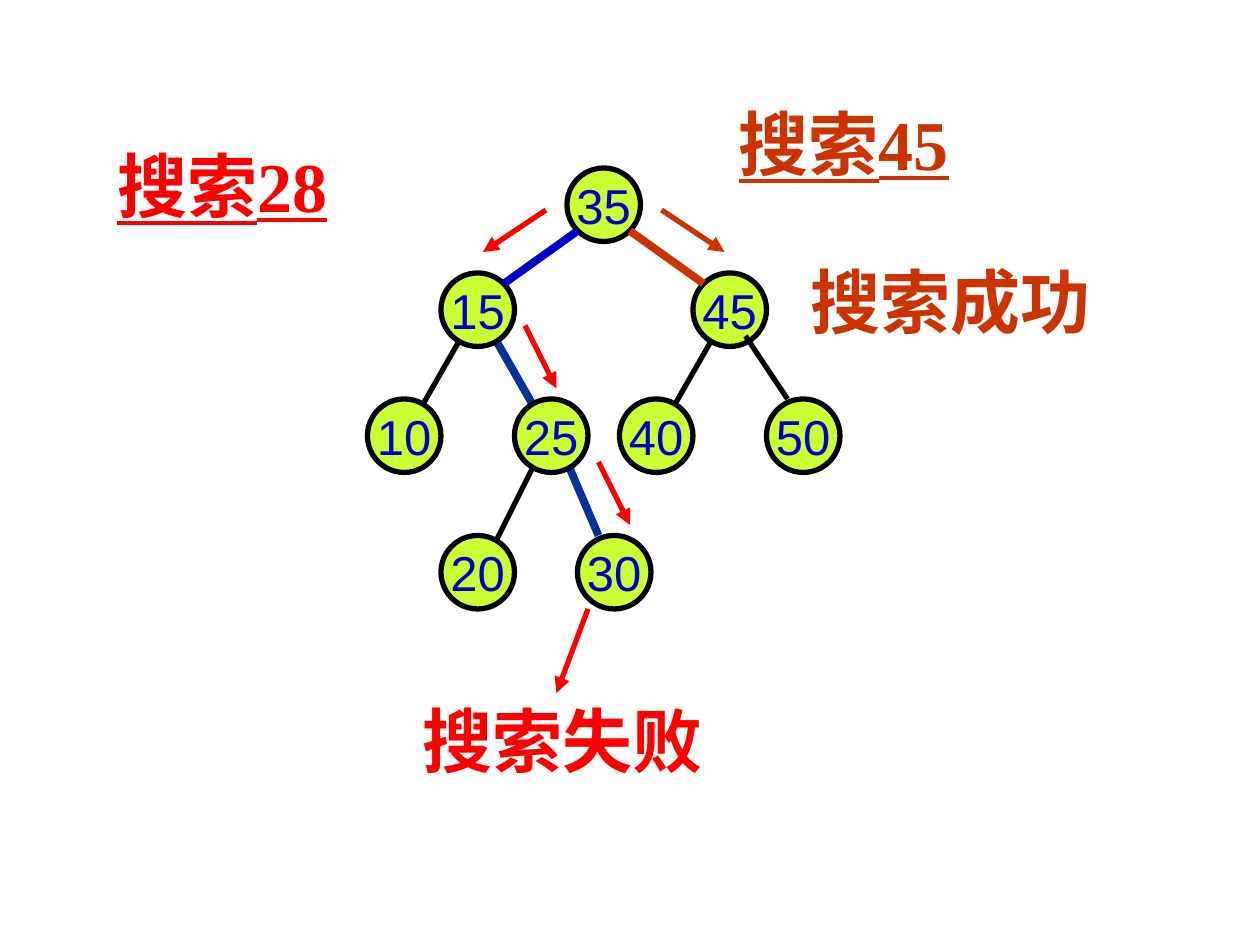
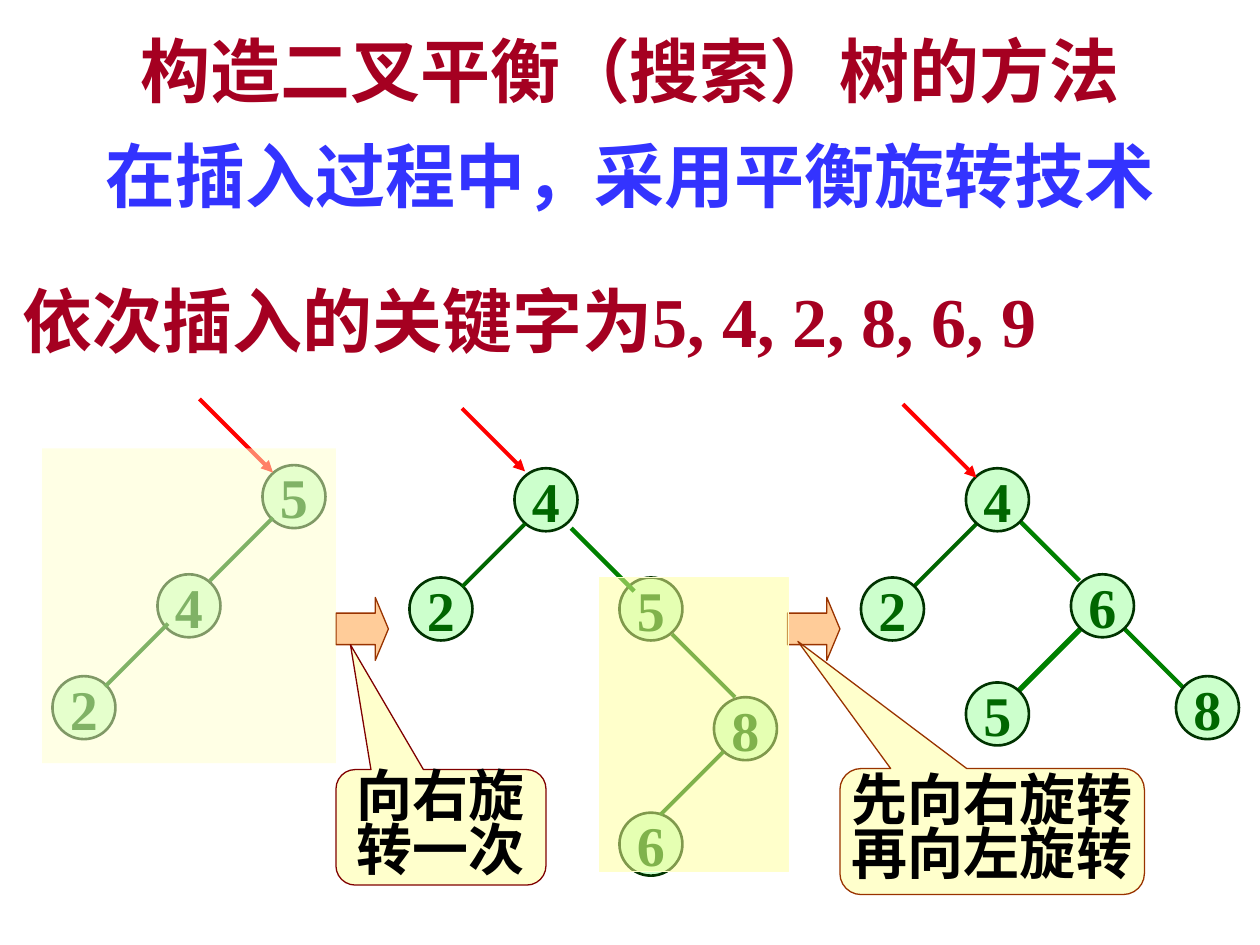
from lxml.etree import SubElement
from pptx import Presentation
from pptx.dml.color import RGBColor as RGB
from pptx.enum.shapes import MSO_CONNECTOR as Link, MSO_SHAPE as Shape
from pptx.enum.text import MSO_ANCHOR as Anchor, MSO_AUTO_SIZE as AutoSize, PP_ALIGN as Align
from pptx.oxml.ns import qn
from pptx.util import Inches, Pt

WIDTH, HEIGHT = Inches(10), Inches(7.5)
COLUMN, ROW = WIDTH / 120, HEIGHT / 90
TITLE_ONLY, BLANK = 5, 6

BLACK, RED = RGB(0, 0, 0), RGB(0xFF, 0, 0)
RUST, CRIMSON = RGB(0xCC, 0x33, 0), RGB(0xA5, 0, 0x21)
BLUE, NAVY, VIOLET = RGB(0, 0, 0xCC), RGB(0, 0x33, 0x99), RGB(0x33, 0x33, 0xFF)
LIME, MINT = RGB(0xCC, 0xFF, 0x33), RGB(0xCC, 0xFF, 0xCC)
PINE, FOREST, GREEN = RGB(0, 0x33, 0), RGB(0, 0x66, 0), RGB(0, 0x80, 0)
PEACH, BROWN, MAROON = RGB(0xFF, 0xCC, 0x99), RGB(0x99, 0x33, 0), RGB(0x80, 0, 0)
CREAM, YELLOW = RGB(0xFF, 0xFF, 0xCC), RGB(0xFF, 0xFF, 0x99)

SEARCH_NODE = dict(size=7, fill=LIME, outline=BLACK, weight=3,
                   style=dict(size=28, color=BLUE, name="Arial", bold=False))
BALANCE_NODE = dict(size=6, fill=MINT, outline=PINE, weight=1.5,
                    style=dict(size=32, color=FOREST))


def grid(left, top, width, height):
    """Turn columns and rows into lengths."""
    return tuple(round(n * unit) for n, unit in
                 ((left, COLUMN), (top, ROW), (width, COLUMN), (height, ROW)))


def style_paragraph(paragraph, size, color, name="Times New Roman", bold=True,
                    align=Align.CENTER, spacing=1.0, underline=False):
    """Format one paragraph."""
    paragraph.alignment, paragraph.line_spacing = align, spacing
    font = paragraph.font
    font.size, font.name, font.bold = Pt(size), name, bold
    font.color.rgb, font.underline = color, underline


def write(frame, lines, **style):
    """Fill a text frame with one paragraph per line."""
    frame.text = "\n".join(lines)
    for paragraph in frame.paragraphs:
        style_paragraph(paragraph, **style)


def add_label(slide, area, text, color, wrap=False, underline=False):
    """Add a large left-aligned caption."""
    frame = slide.shapes.add_textbox(*grid(*area)).text_frame
    frame.word_wrap = wrap
    write(frame, [text], size=40, color=color, align=Align.LEFT, underline=underline)


def add_figure(slide, kind, area, fill, outline=None, weight=0.75, adjustments=()):
    """Add a flat filled preset shape."""
    figure = slide.shapes.add_shape(kind, *grid(*area))
    figure.shadow.inherit = False
    figure.fill.solid()
    figure.fill.fore_color.rgb = fill
    if outline is None:
        figure.line.fill.background()
    else:
        figure.line.color.rgb, figure.line.width = outline, Pt(weight)
    for index, value in enumerate(adjustments):
        figure.adjustments[index] = value
    return figure


def write_inside(figure, lines, **style):
    """Centre unwrapped text in a figure."""
    frame = figure.text_frame
    frame.word_wrap, frame.vertical_anchor = False, Anchor.MIDDLE
    write(frame, lines, **style)


def add_nodes(slide, nodes, look):
    """Draw the keyed circles of a tree."""
    for key, left, top in nodes:
        circle = add_figure(slide, Shape.OVAL, (left, top, look["size"], look["size"]),
                            look["fill"], look["outline"], look["weight"])
        write_inside(circle, [str(key)], **look["style"])


def add_edge(slide, start, end, color, weight, arrow=False):
    """Draw a straight line, optionally with an arrowhead."""
    edge = slide.shapes.add_connector(Link.STRAIGHT, *grid(*start, *end))
    edge.line.color.rgb, edge.line.width = color, Pt(weight)
    if arrow:
        SubElement(edge.line._get_or_add_ln(), qn("a:tailEnd"), type="triangle")
    SubElement(edge._element.spPr, qn("a:effectLst"))


def add_branches(slide, branches, reach=6):
    """Draw diagonal branches that fall left (-1) or right (1)."""
    for left, top, side, color, weight in branches:
        add_edge(slide, (left, top), (left + side * reach, top + reach), color, weight)


def add_callout(slide, area, pointer, outline, lines):
    """Add a speech bubble that explains a rotation."""
    bubble = add_figure(slide, Shape.ROUNDED_RECTANGULAR_CALLOUT, area, CREAM, outline,
                        adjustments=(*pointer, 0.167))
    write_inside(bubble, lines, size=32, color=BLACK, spacing=0.8)


def add_highlight(slide, area, fill, outline=None):
    """Cover an unbalanced subtree with a half-transparent panel."""
    panel = add_figure(slide, Shape.RECTANGLE, area, fill, outline)
    tint = panel._element.spPr.find(qn("a:solidFill"))[0]
    SubElement(tint, qn("a:alpha"), val="50000")


def build_search(prs):
    """Build the slide that searches for 28 and 45."""
    slide = prs.slides.add_slide(prs.slide_layouts[BLANK])
    for start, end, color, weight in (
            ((68, 32), (64, 39), BLACK, 3), ((54, 44), (57, 51), NAVY, 4.5),
            ((51, 44), (47, 52), BLACK, 3), ((44, 32), (40, 39), BLACK, 3),
            ((47, 32), (51, 39), NAVY, 4.5)):
        add_edge(slide, start, end, color, weight)
    add_nodes(slide, ((35, 54, 16), (15, 42, 26), (45, 66, 26), (50, 73, 38), (40, 59, 38),
                      (25, 49, 38), (10, 35, 38), (20, 42, 51), (30, 55, 51)), SEARCH_NODE)
    for start, end, color, weight in (
            ((55, 22), (48, 27), BLUE, 4.5), ((60, 22), (67, 27), RUST, 4.5),
            ((71, 32), (75, 38), BLACK, 3)):
        add_edge(slide, start, end, color, weight)
    for start, end, color in (
            ((63, 20), (69, 24), RUST), ((52, 20), (46, 24), RED), ((50, 31), (53, 37), RED),
            ((57, 44), (60, 50), RED), ((56, 58), (53, 66), RED)):
        add_edge(slide, start, end, color, 3, arrow=True)
    add_label(slide, (69.2, 9, 24, 9.2), "搜索45", RUST, underline=True)
    add_label(slide, (10, 13, 24, 9.2), "搜索28", RED, wrap=True, underline=True)
    add_label(slide, (39.1, 65.8, 29, 9.2), "搜索失败", RED)
    add_label(slide, (76, 24, 29, 9.2), "搜索成功", RUST)


def build_balance(prs):
    """Build the slide that balances a tree by rotation."""
    slide = prs.slides.add_slide(prs.slide_layouts[TITLE_ONLY])
    title = slide.shapes.title
    title.left, title.top, title.width, title.height = grid(0, 0, 120, 21.2)
    heading = title.text_frame
    heading.vertical_anchor, heading.auto_size = Anchor.TOP, AutoSize.NONE
    write(heading, ["构造二叉平衡（搜索）树的方法", "在插入过程中，采用平衡旋转技术"],
          size=40, color=CRIMSON, spacing=1.25)
    heading.paragraphs[1].font.color.rgb = VIOLET
    add_label(slide, (1, 25.8, 107, 9.2), "依次插入的关键字为5, 4, 2, 8, 6, 9", CRIMSON, wrap=True)

    add_nodes(slide, ((5, 25, 44.3), (4, 15, 54.7), (2, 5, 64.4)), BALANCE_NODE)
    add_nodes(slide, ((4, 49, 44.6), (2, 39, 55), (5, 59, 55), (8, 68, 66.4), (6, 59, 77.4)),
              BALANCE_NODE)
    add_branches(slide, (
        (26, 49.3, -1, FOREST, 2.25), (16, 59.4, -1, FOREST, 2.25),
        (50, 49.9, -1, FOREST, 2.25), (54.4, 50.3, 1, GREEN, 2.5),
        (64, 60.4, 1, FOREST, 2.25), (68.9, 71.6, -1, FOREST, 2.25),
        (96.8, 49.3, 1, GREEN, 2.5), (103, 59.8, -1, GREEN, 3),
        (107, 59.8, 1, GREEN, 2.5), (93, 49.9, -1, FOREST, 2.25)))
    add_nodes(slide, ((6, 102, 54.7), (5, 92, 65), (8, 112, 64.4), (4, 92, 44.6), (2, 82, 55)),
              BALANCE_NODE)
    for left, top, reach in ((19, 38, 7), (44, 38.9, 6), (86, 38.5, 7)):
        add_edge(slide, (left, top), (left + reach, top + reach), RED, 2.25, arrow=True)

    for left in (32, 75):
        add_figure(slide, Shape.RIGHT_ARROW, (left, 56.9, 5, 6), PEACH, BROWN,
                   adjustments=(0.5, 0.25))
    add_callout(slide, (32, 73.3, 20, 11), (-0.431, -1.581), MAROON, ["向右旋", "转一次"])
    add_callout(slide, (80, 73.2, 29, 12), (-0.638, -1.509), BROWN, ["先向右旋转", "再向左旋转"])
    add_highlight(slide, (57.1, 55, 18, 28), YELLOW, CREAM)
    add_highlight(slide, (4, 42.7, 28, 30), CREAM)


def main():
    """Build and save the slides."""
    prs = Presentation()
    prs.slide_width, prs.slide_height = WIDTH, HEIGHT
    build_search(prs)
    build_balance(prs)
    prs.save("out.pptx")


if __name__ == "__main__":
    main()
